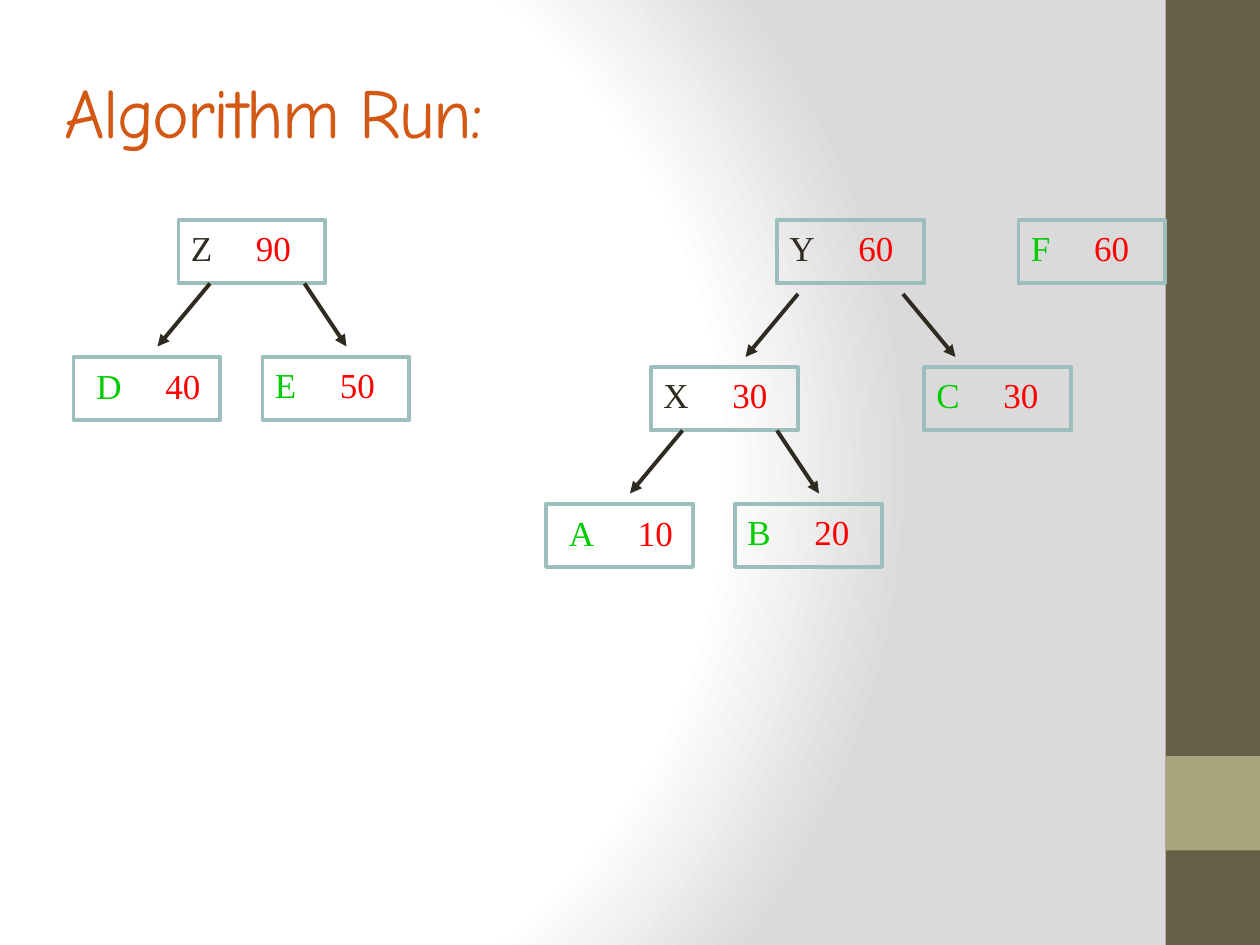
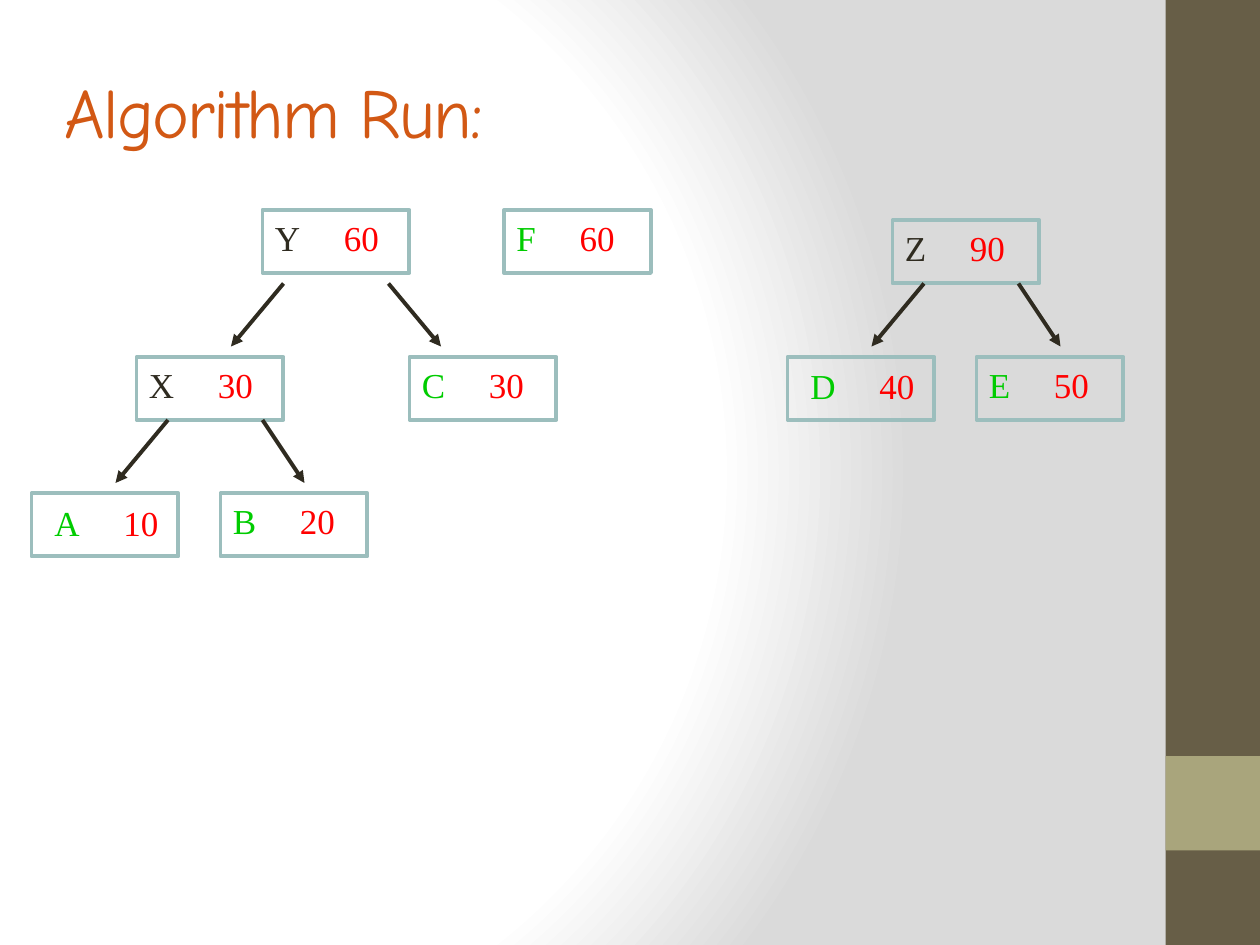
"""Builds two slides that show the trees of an algorithm run."""
from pptx import Presentation
from pptx.dml.color import RGBColor
from pptx.enum.shapes import MSO_CONNECTOR, MSO_SHAPE
from pptx.enum.text import MSO_ANCHOR
from pptx.oxml import parse_xml
from pptx.oxml.ns import nsdecls, qn
from pptx.util import Pt
from lxml.etree import SubElement

TITLE = "Algorithm Run:"
INK, LEAF, COUNT, EDGE = "2F2B20", "00CC00", "FF0000", "9CBEBD"
HEAD = {"name": "Comic Neue", "size": Pt(40)}
BODY = {"name": "Times New Roman", "size": Pt(20)}
BANDS = [(0, 540, "675E47"), (432, 54, "A9A57C")]
STOPS = [(0, "FFFFFF"), (75, "FFFFFF"), (100, "DADADA")]

NODES = {
    "A": (10, LEAF, 39.4), "B": (20, LEAF, 38.3), "C": (30, LEAF, 38.3),
    "D": (40, LEAF, 39.4), "E": (50, LEAF, 37.2), "F": (60, LEAF, 36.1),
    "X": (30, INK, 39.4), "Y": (60, INK, 39.4), "Z": (90, INK, 37.2),
}
NUDGE = {"A": (6, 1), "D": (6, 1)}
NEAR = [(-60, 78), (48, 78)]
WIDE = [(-72, 84), (84, 84)]
NARROW = [(18, 36, -12, 72), (72, 36, 96, 72)]
BROAD = [(12, 42, -18, 78), (72, 42, 102, 78)]
TREES = {
    "X": ("AB", NEAR, NARROW),
    "Y": ("XC", WIDE, BROAD),
    "Z": ("DE", NEAR, NARROW),
}
PAGES = [
    {"Z": (102, 126), "Y": (444, 126), "F": (582, 126)},
    {"Y": (150, 120), "F": (288, 120), "Z": (510, 126)},
]
BOX = (84, 36)
LABEL = (78, 31)


def tint(code):
    return RGBColor.from_string(code)


def paint(master):
    master.background.fill.gradient()
    stops = "".join(
        f'<a:gs pos="{pos * 1000}"><a:srgbClr val="{code}"/></a:gs>'
        for pos, code in STOPS)
    old = next(master.element.iter(qn("a:gradFill")))
    old.getparent().replace(old, parse_xml(
        f'<a:gradFill {nsdecls("a")} rotWithShape="1"><a:gsLst>{stops}</a:gsLst>'
        '<a:path path="circle"><a:fillToRect l="20000" t="50000" r="100000" '
        'b="50000"/></a:path></a:gradFill>'))


def block(slide, left, top, width, height, fill=None):
    shape = slide.shapes.add_shape(
        MSO_SHAPE.RECTANGLE, Pt(left), Pt(top), Pt(width), Pt(height))
    shape.shadow.inherit = False
    if fill:
        shape.fill.solid()
        shape.fill.fore_color.rgb = tint(fill)
        shape.line.fill.background()
    else:
        shape.fill.background()
        shape.line.color.rgb = tint(EDGE)
        shape.line.width = Pt(2.25)


def write(slide, left, top, width, height, parts, style):
    frame = slide.shapes.add_textbox(
        Pt(left), Pt(top), Pt(width), Pt(height)).text_frame
    frame.word_wrap = True
    for text, code in parts:
        run = frame.paragraphs[0].add_run()
        run.text = text
        for key, value in style.items():
            setattr(run.font, key, value)
        run.font.color.rgb = tint(code)
    return frame


def arrow(slide, *ends):
    line = slide.shapes.add_connector(
        MSO_CONNECTOR.STRAIGHT, *[Pt(end) for end in ends])
    line.line.color.rgb = tint(INK)
    line.line.width = Pt(2.25)
    SubElement(line.line._get_or_add_ln(), qn("a:tailEnd"), type="triangle")
    SubElement(line._element.spPr, qn("a:effectLst"))


def node(slide, name, left, top):
    count, code, stop = NODES[name]
    block(slide, left, top, *BOX)
    right, down = NUDGE.get(name, (0, 0))
    frame = write(slide, left + right, top + down, *LABEL,
                  [(name + "\t", code), (str(count), COUNT)], BODY)
    tabs = SubElement(frame.paragraphs[0]._p.get_or_add_pPr(), qn("a:tabLst"))
    SubElement(tabs, qn("a:tab"), pos=str(int(Pt(stop))), algn="l")
    kids, steps, lines = TREES.get(name, ("", [], []))
    for kid, (across, below) in zip(kids, steps):
        node(slide, kid, left + across, top + below)
    for x1, y1, x2, y2 in lines:
        arrow(slide, left + x1, top + y1, left + x2, top + y2)


def base(deck):
    slide = deck.slides.add_slide(deck.slide_layouts[6])
    for top, height, code in BANDS:
        block(slide, 666, top, 54, height, code)
    frame = write(slide, 30, 18, 648, 90, [(TITLE, "D25814")], HEAD)
    frame.vertical_anchor = MSO_ANCHOR.MIDDLE
    frame.paragraphs[0].runs[0]._r.get_or_add_rPr().set("spc", "-100")
    return slide


def main():
    deck = Presentation()
    deck.slide_width, deck.slide_height = Pt(720), Pt(540)
    paint(deck.slide_master)
    for page in PAGES:
        slide = base(deck)
        for name, place in page.items():
            node(slide, name, *place)
    deck.save("out.pptx")


if __name__ == "__main__":
    main()
